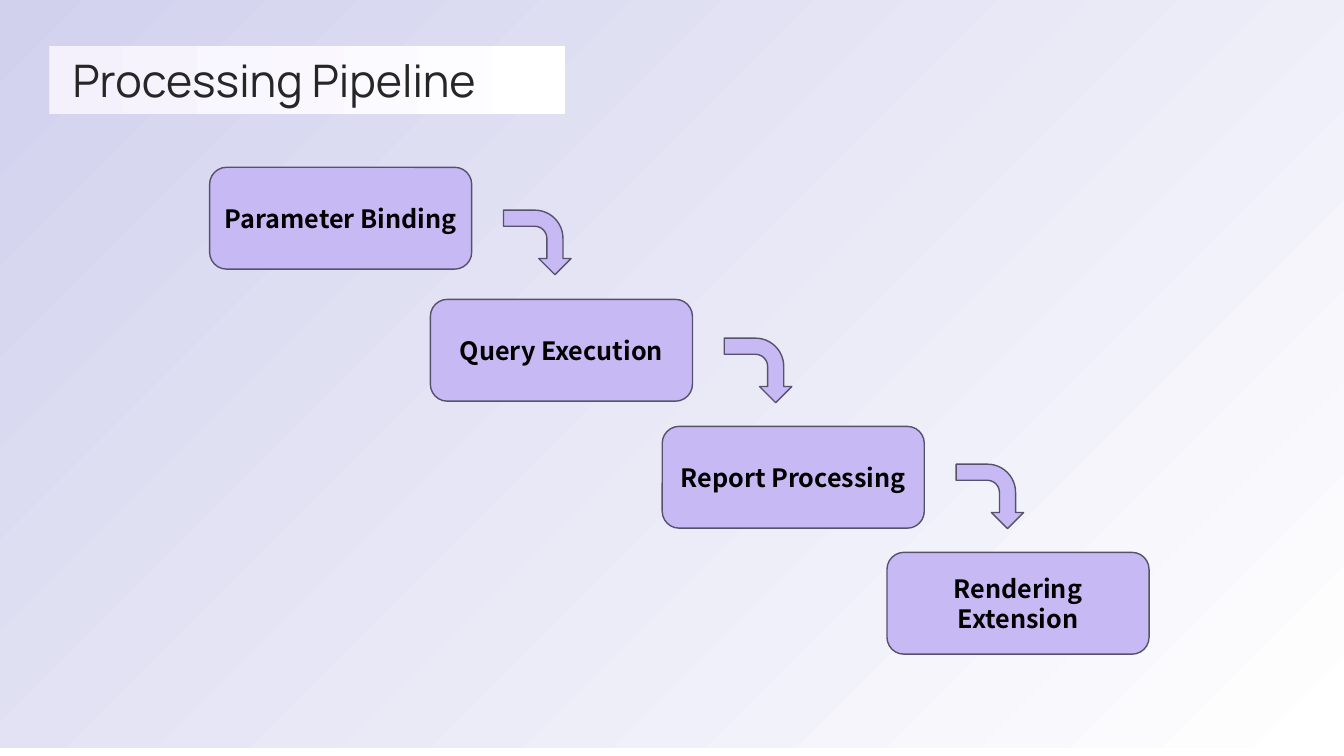
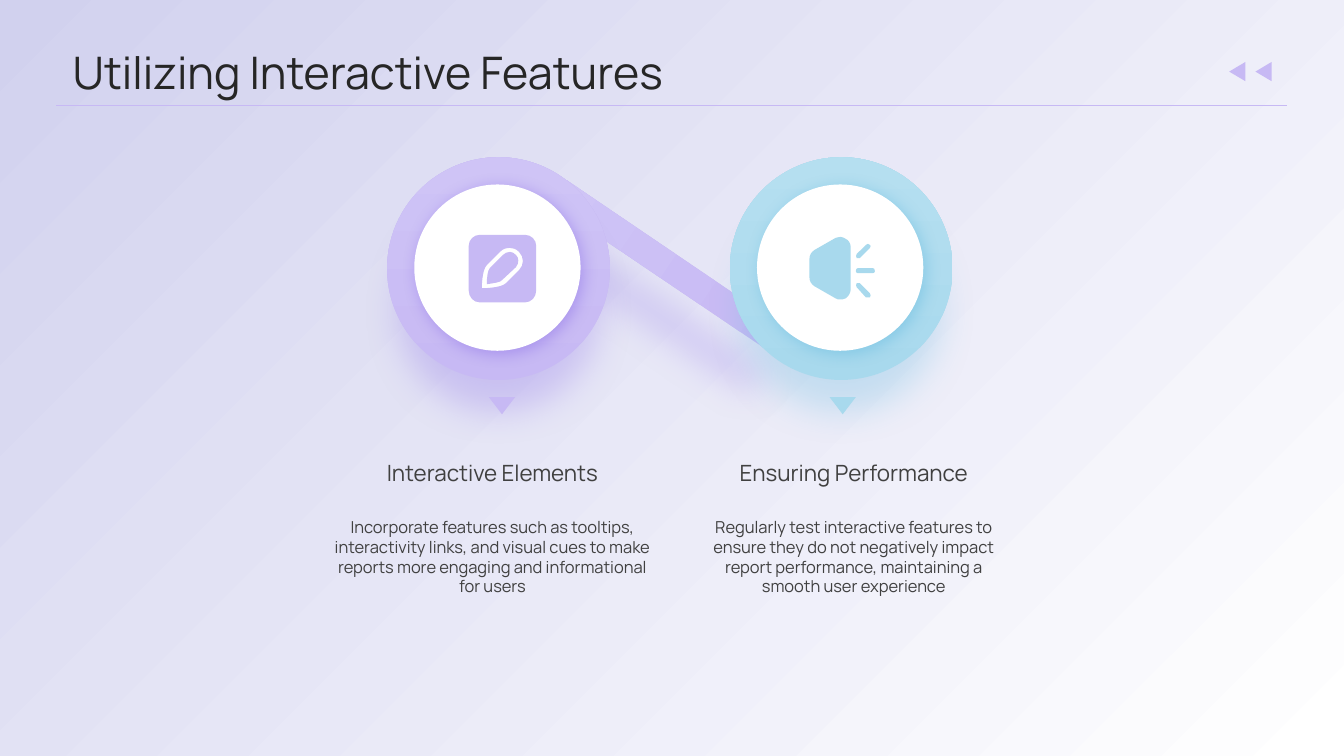
from lxml import etree
from pptx import Presentation
from pptx import util as u
from pptx.dml.color import RGBColor
from pptx.enum import shapes as sh, text as tx
from pptx.oxml.ns import qn

SCALE = 9144
WIDE, HIGH = u.Emu(12192000), u.Emu(6858000)
LILAC, SKY, WHITE = "C7B9F4", "A8D9ED", "FFFFFF"
EDGE, INK, GREY = "57516B", "262626", "404040"
KIND = sh.MSO_SHAPE
MID, TOP = tx.MSO_ANCHOR.MIDDLE, tx.MSO_ANCHOR.TOP
LEFT, MEAN = tx.PP_ALIGN.LEFT, tx.PP_ALIGN.CENTER
HEAD = {"size": u.Pt(32), "name": "Manrope", "bold": False}
STEP = {"size": u.Pt(18), "name": "Noto Sans CJK SC", "bold": True}
NAME = {"size": u.Pt(16), "name": "Manrope"}
BODY = {"size": u.Pt(11.8), "name": "Manrope"}
FLUSH = dict.fromkeys(
    ("margin_left", "margin_top", "margin_right", "margin_bottom"), 0)

STEPS = [
    ("Parameter Binding", 208, 166, 207),
    ("Query Execution", 427, 297, 334),
    ("Report Processing", 657, 423, 459),
    ("Rendering Extension", 880, 548, None),
]

PEN = [
    [(506, 250), (508, 250, 510, 251, 512, 253), (515, 256, 515, 261, 512, 265),
     (498, 278), (497, 280, 490, 281, 483, 282), (483, 275, 484, 268, 486, 266),
     (499, 253), (501, 251, 503, 250, 506, 250)],
    [(506, 246), (502, 246, 499, 247, 496, 250), (483, 263),
     (478, 268, 478, 286, 478, 286), (478, 286, 497, 286, 502, 281),
     (515, 268), (520, 263, 520, 255, 515, 250), (512, 247, 509, 246, 506, 246)],
    [(476, 233), (521, 233), (527, 233, 532, 238, 532, 244), (532, 288),
     (532, 295, 527, 300, 521, 300), (476, 300), (470, 300, 465, 295, 465, 288),
     (465, 244), (465, 238, 470, 233, 476, 233)],
]
HORN = [
    [(851, 281), (852, 281, 852, 281, 853, 281), (863, 291),
     (864, 292, 864, 294, 863, 295), (862, 295, 862, 295, 861, 295),
     (860, 295, 860, 295, 859, 295), (850, 285), (849, 284, 849, 282, 850, 281),
     (850, 281, 851, 281, 851, 281)],
    [(851, 266), (866, 266), (867, 266, 868, 267, 868, 269),
     (868, 270, 867, 271, 866, 271), (851, 271), (850, 271, 849, 270, 849, 269),
     (849, 267, 850, 266, 851, 266)],
    [(861, 242), (862, 242, 862, 242, 863, 243), (864, 243, 864, 245, 863, 246),
     (853, 256), (852, 256, 852, 256, 851, 256), (851, 256, 850, 256, 850, 256),
     (849, 255, 849, 253, 850, 252), (859, 243), (860, 242, 860, 242, 861, 242)],
    [(834, 235), (836, 235, 837, 236, 839, 237), (842, 238, 844, 242, 844, 245),
     (844, 287), (844, 290, 842, 294, 839, 296), (837, 297, 835, 297, 834, 297),
     (832, 297, 830, 297, 829, 296), (808, 284), (805, 282, 803, 279, 803, 275),
     (803, 257), (803, 253, 805, 250, 808, 248), (829, 236),
     (830, 236, 832, 235, 834, 235)],
]


def px(*nums):
    """Turn px lengths into EMU."""
    return [u.Emu(round(n * SCALE)) for n in nums]


def rgb(code):
    """Give the colour for a hex string."""
    return RGBColor.from_string(code)


def apply(item, form):
    """Set every attribute held in a dict."""
    for key, val in form.items():
        setattr(item, key, val)


def paint(fill, tone, angle=90):
    """Fill with one colour, or with a gradient for a pair."""
    if isinstance(tone, str):
        fill.solid()
        fill.fore_color.rgb = rgb(tone)
        return
    fill.gradient()
    fill.gradient_angle = angle
    for stop, code in zip(fill.gradient_stops, tone):
        stop.color.rgb = rgb(code)


def write(frame, words, font, tone, anchor=MID, align=MEAN, form=None):
    """Put one formatted paragraph in a text frame."""
    apply(frame, {"word_wrap": True, "auto_size": tx.MSO_AUTO_SIZE.NONE,
                  "vertical_anchor": anchor, **(form or {})})
    para = frame.paragraphs[0]
    apply(para, {"text": words, "alignment": align})
    apply(para.font, font)
    para.font.color.rgb = rgb(tone)


def shape(slide, kind, box, tone, angle=90, turn=0, edge=None):
    """Add a preset shape without the theme's look."""
    item = slide.shapes.add_shape(kind, *px(*box))
    item.shadow.inherit = False
    item.rotation = turn
    paint(item.fill, tone, angle)
    if edge:
        item.line.color.rgb = rgb(edge)
        item.line.width = u.Pt(1)
    else:
        item.line.fill.background()
    return item


def sink(slide, item):
    """Send a shape to the back."""
    slide.shapes._spTree.insert(2, item._element)


def shade(item, tone, alpha, blur, dist, angle, size=100):
    """Give a shape a soft outer shadow."""
    effect = item._element.spPr.find(qn("a:effectLst"))
    outer = etree.SubElement(
        effect, qn("a:outerShdw"), blurRad=str(u.Pt(blur)), dist=str(u.Pt(dist)),
        dir=str(angle * 60000), sx=str(size * 1000), sy=str(size * 1000),
        algn="ctr", rotWithShape="0")
    color = etree.SubElement(outer, qn("a:srgbClr"), val=tone)
    etree.SubElement(color, qn("a:alpha"), val=str(alpha * 1000))


def label(slide, box, words, font, anchor=MID):
    """Add a grey wrapped text box."""
    frame = slide.shapes.add_textbox(*px(*box)).text_frame
    write(frame, words, font, GREY, anchor)


def bend(item, loops):
    """Turn the segments that hold control points into curves."""
    lines = list(item._element.iter(qn("a:lnTo")))
    parts = [part for loop in loops for part in loop[1:]]
    for line, part in zip(lines, parts):
        if len(part) == 6:
            line.tag = qn("a:cubicBezTo")
            spots = [px(*part[:2]), px(*part[2:4])]
            for place, (x, y) in enumerate(spots):
                dot = etree.Element(
                    qn("a:pt"), x=str(x - item.left), y=str(y - item.top))
                line.insert(place, dot)


def icon(slide, loops, tone):
    """Draw closed outlines as one freeform."""
    pen = slide.shapes.build_freeform(*px(*loops[0][0]))
    for place, loop in enumerate(loops):
        if place:
            pen.move_to(*px(*loop[0]))
        pen.add_line_segments([px(*part[-2:]) for part in loop[1:]], close=True)
    item = pen.convert_to_shape()
    bend(item, loops)
    item.shadow.inherit = False
    paint(item.fill, tone)
    item.line.fill.background()


def rule(slide, ends, tone):
    """Add a thin straight line."""
    line = slide.shapes.add_connector(sh.MSO_CONNECTOR.STRAIGHT, *px(*ends))
    line.line.color.rgb = rgb(tone)
    line.line.width = u.Pt(0.75)
    etree.SubElement(line._element.spPr, qn("a:effectLst"))


def start(deck, words, top, rise=0):
    """Add a slide with its backdrop and title."""
    slide = deck.slides.add_slide(deck.slide_layouts[5])
    title = slide.shapes.title
    apply(title, dict(zip(("left", "top", "width", "height"),
                          px(72, top, 1188, 51))))
    write(title.text_frame, words, HEAD, INK, align=LEFT, form=FLUSH)
    back = shape(slide, KIND.RECTANGLE, (0, -rise, 1333, 750), ("D1D1EE", WHITE), 315)
    back.width = WIDE
    sink(slide, back)
    return slide, back


def flow(deck):
    """Build the stepped pipeline."""
    slide, back = start(deck, "Processing Pipeline", 53, 8)
    band = shape(slide, KIND.RECTANGLE, (49, 46, 512, 67), ("F4F1FD", WHITE), 0)
    sink(slide, band)
    sink(slide, back)
    for words, x, y, drop in STEPS:
        card = shape(slide, KIND.ROUNDED_RECTANGLE, (x, y, 260, 101), LILAC, edge=EDGE)
        write(card.text_frame, words, STEP, "000000")
        if drop:
            shape(slide, KIND.BENT_ARROW, (x + 293, drop, 64, 67), LILAC,
                  turn=90, edge=EDGE)


def disc(slide, x, tones, dark):
    """Add a ring with a white centre."""
    ring = shape(slide, KIND.OVAL, (x, 156, 221, 221), tones)
    shade(ring, dark, 25, 26, 30, 90, 90)
    core = shape(slide, KIND.OVAL, (x + 27, 183, 165, 165), WHITE)
    shade(core, dark, 40, 11, 3, 45)


def pair(deck):
    """Build the two linked features."""
    slide, _ = start(deck, "Utilizing Interactive Features", 46)
    lilacs, violet = (LILAC, "CFC4F6"), "7D5CE5"
    link = shape(slide, KIND.RECTANGLE, (649, 133, 28, 262), lilacs, turn=304.1)
    shade(link, violet, 25, 26, 30, 90, 90)
    items = [
        (384, lilacs, violet, PEN, 485, 318, 341, "Interactive Elements",
         "Incorporate features such as tooltips, interactivity links, and visual "
         "cues to make reports more engaging and informational for users"),
        (724, (SKY, "B5DFF0"), "54B4DC", HORN, 823, 691, 312, "Ensuring Performance",
         "Regularly test interactive features to ensure they do not negatively "
         "impact report performance, maintaining a smooth user experience"),
    ]
    for x, tones, dark, loops, tip, left, wide, name, body in items:
        disc(slide, x, tones, dark)
        icon(slide, loops, tones[0])
        shape(slide, KIND.ISOSCELES_TRIANGLE, (tip, 394, 26, 17), tones[0], turn=180)
        label(slide, (left, 442, wide, 53), name, NAME)
        label(slide, (left, 508, wide, 180), body, BODY, TOP)
    rule(slide, (56, 105, 1277, 105), LILAC)
    for x in (1218, 1244):
        shape(slide, KIND.ISOSCELES_TRIANGLE, (x, 63, 19, 16), LILAC, turn=270)


def main():
    """Build and save the deck."""
    deck = Presentation()
    apply(deck, {"slide_width": WIDE, "slide_height": HIGH})
    flow(deck)
    pair(deck)
    deck.save("out.pptx")


if __name__ == "__main__":
    main()
